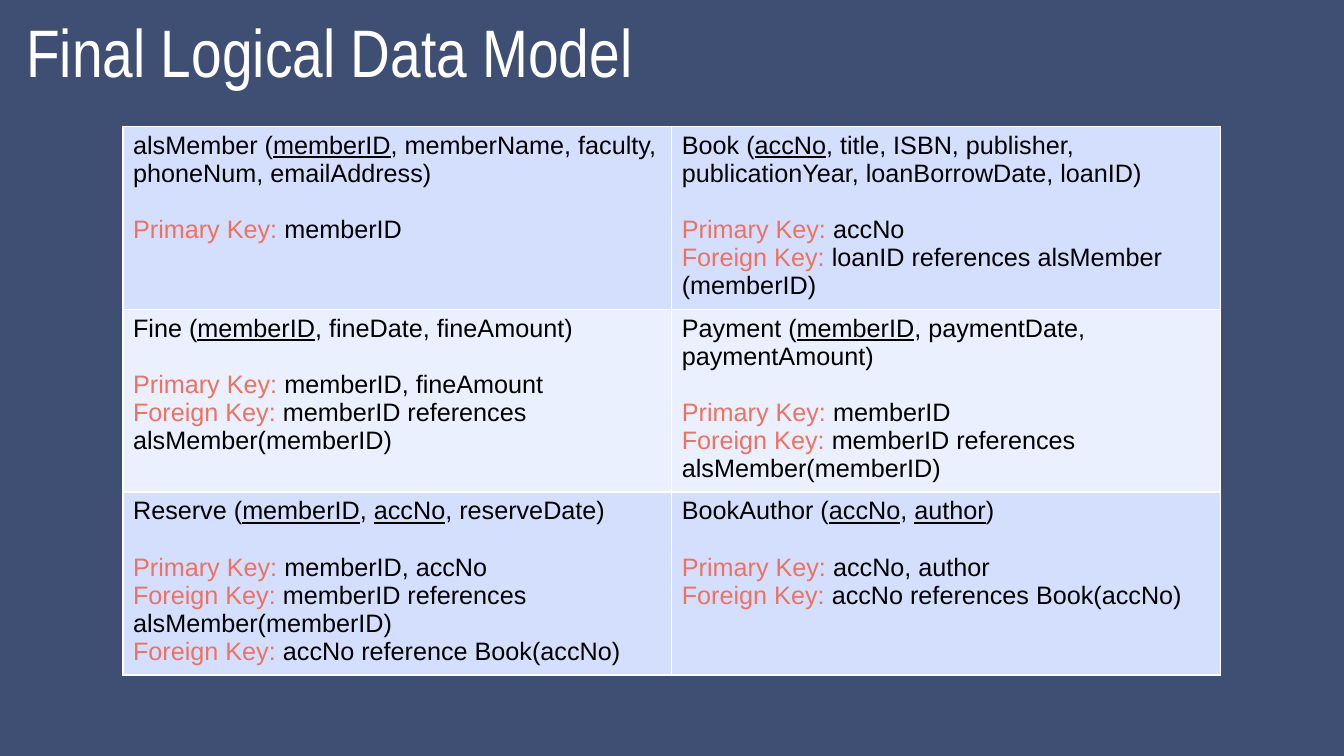
from lxml import etree
from pptx import Presentation
from pptx import util as u
from pptx.dml.color import RGBColor
from pptx.enum import text
from pptx.oxml.ns import qn

TITLE = "Final Logical Data Model"
# Each relation: schema (underscores enclose underlined attributes), then its keys
PK, FK = "Primary Key: ", "Foreign Key: "
MEMBER_REF = (FK, "memberID references alsMember(memberID)")
RELATIONS = [
    [("alsMember (_memberID_, memberName, faculty, phoneNum, emailAddress)",
      [(PK, "memberID")]),
     ("Book (_accNo_, title, ISBN, publisher, publicationYear, loanBorrowDate, loanID)",
      [(PK, "accNo"), (FK, "loanID references alsMember (memberID)")])],
    [("Fine (_memberID_, fineDate, fineAmount)",
      [(PK, "memberID, fineAmount"), MEMBER_REF]),
     ("Payment (_memberID_, paymentDate, paymentAmount)",
      [(PK, "memberID"), MEMBER_REF])],
    [("Reserve (_memberID_, _accNo_, reserveDate)",
      [(PK, "memberID, accNo"), MEMBER_REF, (FK, "accNo reference Book(accNo)")]),
     ("BookAuthor (_accNo_, _author_)",
      [(PK, "accNo, author"), (FK, "accNo references Book(accNo)")])],
]
BACKGROUND, WHITE, BLACK, KEY_COLOR = "3F4F73", "FFFFFF", "000000", "EF7161"
BANDS = ["D4DFFD", "EBF0FE"]
COL_W, ROW_H = u.Cm(13.83), u.Cm(4.61)


def rgb(value):
    return RGBColor.from_string(value)


def add_run(p, content, color, size=18, font="Arial", underline=None):
    r = p.add_run()
    r.text = content
    r.font.size, r.font.name, r.font.underline = u.Pt(size), font, underline
    r.font.color.rgb = rgb(color)


def add_borders(cell):
    tc_pr = cell._tc.get_or_add_tcPr()
    for i, side in enumerate(("lnL", "lnR", "lnT", "lnB")):
        ln = etree.Element(qn("a:" + side), w=str(u.Pt(1)))
        fill = etree.SubElement(ln, qn("a:solidFill"))
        etree.SubElement(fill, qn("a:srgbClr"), val=WHITE)
        tc_pr.insert(i, ln)


def fill_cell(cell, relation, band):
    schema, keys = relation
    cell.fill.solid()
    cell.fill.fore_color.rgb = rgb(band)
    add_borders(cell)
    tf = cell.text_frame
    p = tf.paragraphs[0]
    p.space_after = u.Pt(20)
    for i, part in enumerate(schema.split("_")):
        add_run(p, part, BLACK, underline=True if i % 2 else None)
    for label, attributes in keys:
        p = tf.add_paragraph()
        add_run(p, label, KEY_COLOR)
        add_run(p, attributes, BLACK)


def main():
    prs = Presentation()
    prs.slide_width, prs.slide_height = u.Cm(33.87), u.Cm(19.05)
    s = prs.slides.add_slide(prs.slide_layouts[5])
    s.background.fill.solid()
    s.background.fill.fore_color.rgb = rgb(BACKGROUND)

    title = s.shapes.title
    title.left, title.top = u.Cm(0.41), u.Cm(0.03)
    title.width, title.height = u.Cm(24.82), u.Cm(2.41)
    tf = title.text_frame
    tf.vertical_anchor = text.MSO_ANCHOR.BOTTOM
    tf.auto_size = text.MSO_AUTO_SIZE.NONE
    p = tf.paragraphs[0]
    p.alignment, p.line_spacing = text.PP_ALIGN.LEFT, 0.9
    add_run(p, TITLE, WHITE, 48, "Arial Narrow")

    rows, cols = len(RELATIONS), len(RELATIONS[0])
    table = s.shapes.add_table(rows, cols, u.Cm(3.1), u.Cm(3.18),
                               COL_W * cols, ROW_H * rows).table
    table.first_row = table.horz_banding = False
    for i, row in enumerate(RELATIONS):
        for j, relation in enumerate(row):
            fill_cell(table.cell(i, j), relation, BANDS[i % 2])

    prs.save("out.pptx")


if __name__ == "__main__":
    main()
